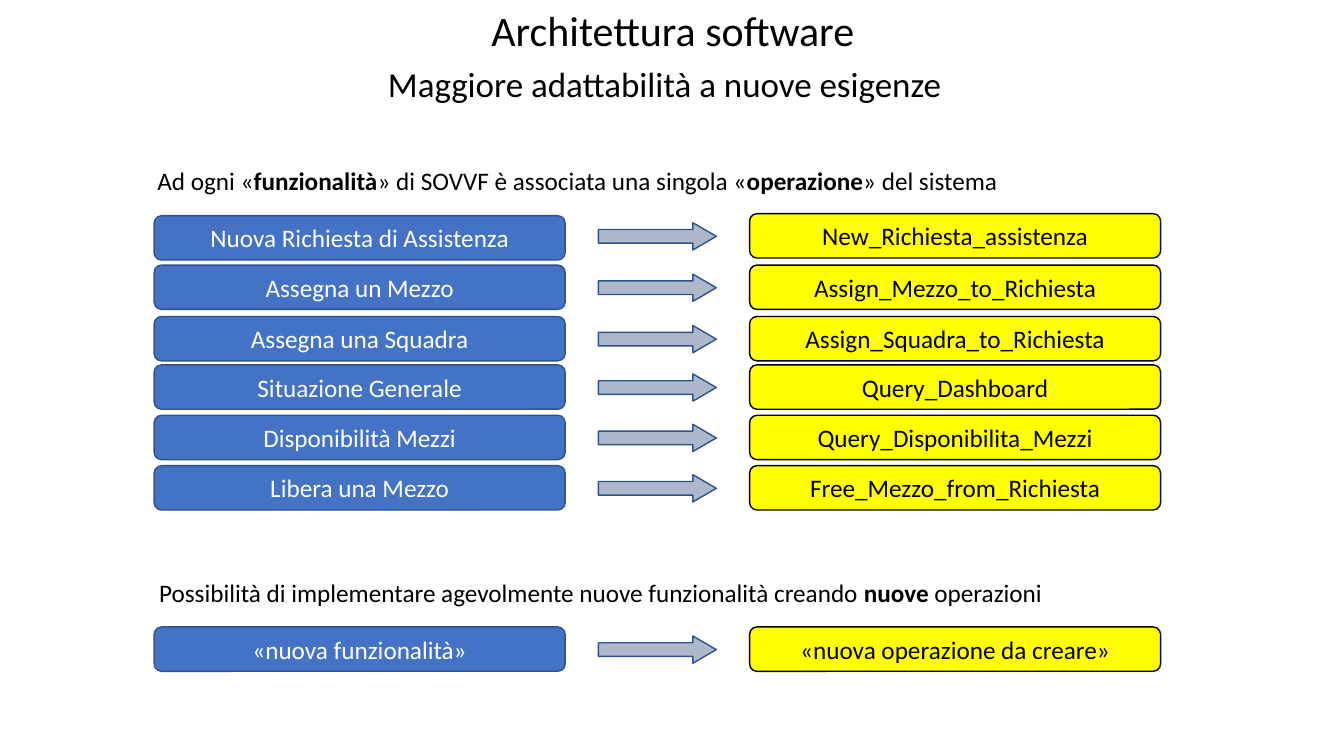
from dataclasses import dataclass

from pptx import Presentation
from pptx.dml.color import RGBColor
from pptx.enum.shapes import MSO_SHAPE
from pptx.enum.text import MSO_ANCHOR, PP_ALIGN
from pptx.shapes.autoshape import Shape
from pptx.slide import Slide
from pptx.util import Emu, Pt

EMU_PER_PX = 9144  # 100 px to the inch
FONT = "Calibri"
BLACK, WHITE = "000000", "FFFFFF"
BLUE, NAVY, YELLOW, GREY = "4472C4", "2F528F", "FFFF00", "ADB9CA"

FUNCTION_LEFT, ARROW_LEFT, OPERATION_LEFT = 153, 594, 744
BAR_WIDTH, BAR_HEIGHT = 408, 44
ARROW_WIDTH, ARROW_HEIGHT, ARROW_DROP = 117, 27, 9


@dataclass
class Mapping:
    top: int
    function: str
    operation: str
    operation_rise: int = 0


@dataclass
class Caption:
    left: int
    top: int
    width: int
    height: int
    spans: list[str]  # every second span is bold
    size: int = 18
    anchor: MSO_ANCHOR = MSO_ANCHOR.TOP
    spacing: float = 1.0


CAPTIONS = [
    Caption(168, 5, 1000, 55, ["Architettura software"], 30, MSO_ANCHOR.BOTTOM, 0.9),
    Caption(357, 54, 613, 55, ["Maggiore adattabilità a nuove esigenze "], 25,
            MSO_ANCHOR.BOTTOM, 0.9),
    Caption(126, 159, 894, 40, ["Ad ogni «", "funzionalità",
                                "» di SOVVF è associata una singola «",
                                "operazione", "» del sistema"]),
    Caption(100, 568, 992, 40, [
        "Possibilità di implementare agevolmente nuove funzionalità creando ",
        "nuove", " operazioni"]),
]

MAPPINGS = [
    Mapping(214, "Nuova Richiesta di Assistenza", "New_Richiesta_assistenza", 2),
    Mapping(263, "Assegna un Mezzo", "Assign_Mezzo_to_Richiesta"),
    Mapping(314, "Assegna una Squadra", "Assign_Squadra_to_Richiesta"),
    Mapping(362, "Situazione Generale", "Query_Dashboard"),
    Mapping(412, "Disponibilità Mezzi", "Query_Disponibilita_Mezzi"),
    Mapping(462, "Libera una Mezzo", "Free_Mezzo_from_Richiesta"),
    Mapping(622, "«nuova funzionalità»", "«nuova operazione da creare»"),
]


def px(length: int) -> Emu:
    return Emu(length * EMU_PER_PX)


def color(value: str) -> RGBColor:
    return RGBColor.from_string(value)


def write(box: Shape, spans: list[str], *, size: int = 18, ink: str = BLACK,
          anchor: MSO_ANCHOR = MSO_ANCHOR.MIDDLE, spacing: float = 1.0) -> None:
    frame = box.text_frame
    frame.word_wrap = True
    frame.vertical_anchor = anchor
    para = frame.paragraphs[0]
    para.alignment = PP_ALIGN.CENTER
    para.line_spacing = spacing
    for index, text in enumerate(spans):
        span = para.add_run()
        span.text = text
        span.font.name = FONT
        span.font.size = Pt(size)
        span.font.bold = index % 2 == 1
        span.font.color.rgb = color(ink)


def add_block(page: Slide, kind: MSO_SHAPE, left: int, top: int, width: int,
              height: int, fill: str, line: str) -> Shape:
    block = page.shapes.add_shape(kind, px(left), px(top), px(width), px(height))
    block.shadow.inherit = False
    block.fill.solid()
    block.fill.fore_color.rgb = color(fill)
    block.line.color.rgb = color(line)
    block.line.width = Pt(1)
    return block


def add_bar(page: Slide, left: int, top: int, text: str, *, fill: str,
            line: str, ink: str) -> None:
    bar = add_block(page, MSO_SHAPE.ROUNDED_RECTANGLE, left, top,
                    BAR_WIDTH, BAR_HEIGHT, fill, line)
    write(bar, [text], ink=ink)


def add_mapping(page: Slide, mapping: Mapping) -> None:
    operation_top = mapping.top - mapping.operation_rise
    add_bar(page, FUNCTION_LEFT, mapping.top, mapping.function,
            fill=BLUE, line=NAVY, ink=WHITE)
    add_bar(page, OPERATION_LEFT, operation_top, mapping.operation,
            fill=YELLOW, line=BLACK, ink=BLACK)
    arrow = add_block(page, MSO_SHAPE.RIGHT_ARROW, ARROW_LEFT,
                      operation_top + ARROW_DROP, ARROW_WIDTH, ARROW_HEIGHT,
                      GREY, NAVY)
    arrow.adjustments[1] = 0.86


def add_caption(page: Slide, caption: Caption) -> None:
    box = page.shapes.add_textbox(px(caption.left), px(caption.top),
                                  px(caption.width), px(caption.height))
    write(box, caption.spans, size=caption.size, anchor=caption.anchor,
          spacing=caption.spacing)


def main() -> None:
    deck = Presentation()
    deck.slide_width, deck.slide_height = px(1334), px(750)
    page = deck.slides.add_slide(deck.slide_layouts[6])

    # Title, subtitle and the two statements
    for caption in CAPTIONS:
        add_caption(page, caption)

    # Each function points to its operation
    for mapping in MAPPINGS:
        add_mapping(page, mapping)

    deck.save("out.pptx")


if __name__ == "__main__":
    main()
